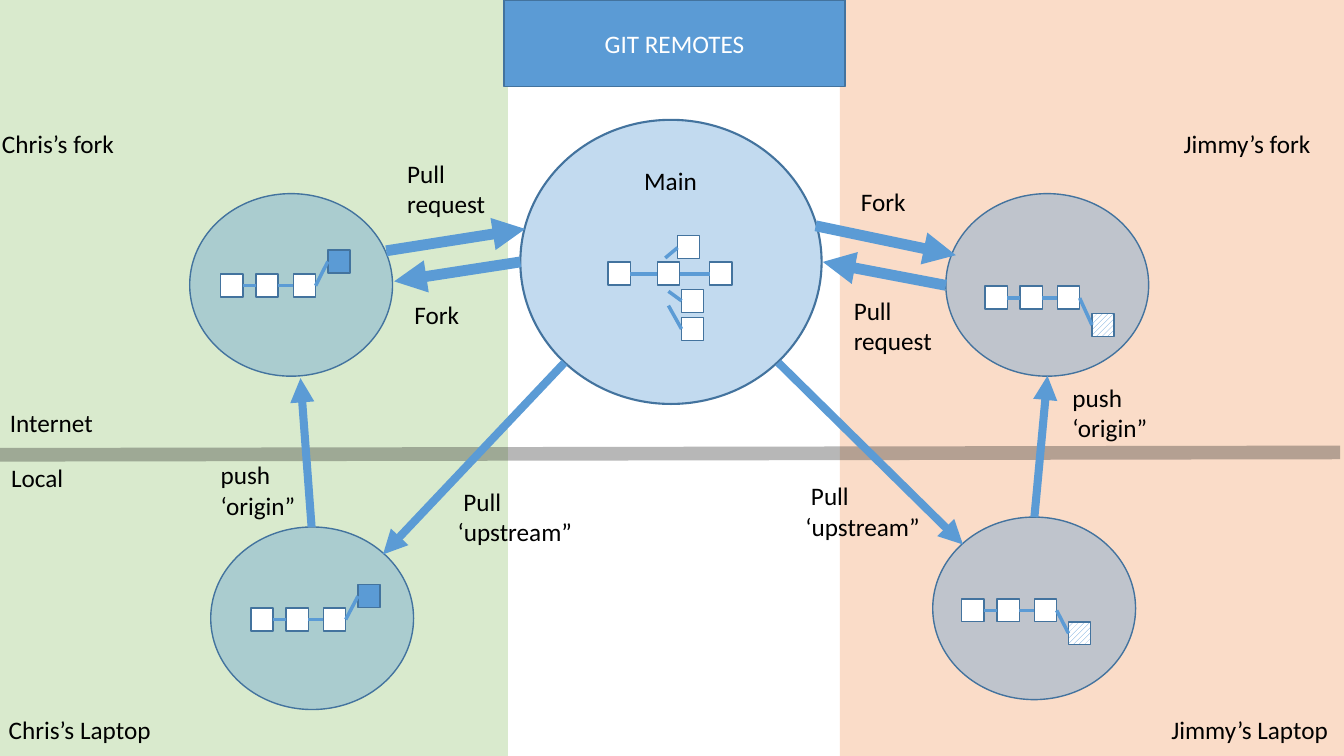
from lxml import etree
from pptx import Presentation
from pptx.dml.color import RGBColor
from pptx.enum.dml import MSO_PATTERN
from pptx.enum.shapes import MSO_CONNECTOR, MSO_SHAPE
from pptx.enum.text import MSO_ANCHOR, MSO_AUTO_SIZE, PP_ALIGN
from pptx.oxml.ns import qn
from pptx.util import Cm, Pt

RECT, OVAL = MSO_SHAPE.RECTANGLE, MSO_SHAPE.OVAL
STRAIGHT = MSO_CONNECTOR.STRAIGHT
HATCH = MSO_PATTERN.WIDE_UPWARD_DIAGONAL
FONT = "Calibri"
BOX_W, BOX_H = 0.22, 0.23  # one commit box, in inches
COLORS = {
    "blue": "5B9BD5", "outline": "43739E", "green": "A9D18E", "orange": "F4B183",
    "divider": "262626", "white": "FFFFFF", "black": "000000",
}


def rgb(name):
    return RGBColor.from_string(COLORS[name])


def cm(inches):
    return Cm(round(inches * 2.54, 2))


def set_alpha(fill_parent, percent):
    color = fill_parent.find(qn("a:solidFill"))[0]
    etree.SubElement(color, qn("a:alpha")).set("val", str(percent * 1000))


def add_shape(s, kind, x, y, w, h, fill, alpha=None, line=None):
    sp = s.shapes.add_shape(kind, cm(x), cm(y), cm(w), cm(h))
    sp.shadow.inherit = False
    if fill == "hatch":
        sp.fill.patterned()
        sp.fill.pattern = HATCH
        sp.fill.fore_color.rgb = rgb("blue")
        sp.fill.back_color.rgb = rgb("white")
    else:
        sp.fill.solid()
        sp.fill.fore_color.rgb = rgb(fill)
    if alpha:
        set_alpha(sp._element.spPr, alpha)
    if line:
        sp.line.color.rgb = rgb("outline")
        sp.line.width = Pt(line)
    else:
        sp.line.fill.background()
    return sp


def add_line(s, start, end, width, color="blue", arrow=False, alpha=None):
    c = s.shapes.add_connector(STRAIGHT, *map(cm, start + end))
    c.line.color.rgb = rgb(color)
    c.line.width = Pt(width)
    spPr = c._element.spPr
    ln = spPr.find(qn("a:ln"))
    if alpha:
        set_alpha(ln, alpha)
    if arrow:
        etree.SubElement(ln, qn("a:tailEnd")).set("type", "triangle")
    etree.SubElement(spPr, qn("a:effectLst"))


def style_text(tf, text, color):
    tf.text = text
    for p in tf.paragraphs:
        p.font.name = FONT
        p.font.size = Pt(18)
        p.font.color.rgb = rgb(color)


def add_label(s, text, x, y, w):
    h = 0.71 if "\n" in text else 0.4
    tf = s.shapes.add_textbox(cm(x), cm(y), cm(w), cm(h)).text_frame
    tf.word_wrap = False
    tf.auto_size = MSO_AUTO_SIZE.SHAPE_TO_FIT_TEXT
    style_text(tf, text, "black")


def add_commit(s, x, y, fill="white"):
    add_shape(s, RECT, x, y, BOX_W, BOX_H, fill, line=1)


def add_history(s, x, y, offsets):
    """A row of commits, each joined to the one before it."""
    mid = y + BOX_H / 2
    for dx in offsets:
        add_commit(s, x + dx, y)
    for left, right in zip(offsets, offsets[1:]):
        add_line(s, (x + right, mid), (x + left + BOX_W, mid), 2.5)


def add_clone(s, x, y, rise, fill):
    """Three commits and a new one that branches off the last."""
    offsets = (0, 0.35, 0.72)
    add_history(s, x, y, offsets)
    branch_x, mid = x + 1.06, y + BOX_H / 2
    add_commit(s, branch_x, y + rise, fill)
    add_line(s, (branch_x, mid + rise), (x + offsets[-1] + BOX_W, mid), 2.5)


def main():
    prs = Presentation()
    prs.slide_width, prs.slide_height = cm(13.33), cm(7.5)
    s = prs.slides.add_slide(prs.slide_layouts[6])

    # Side panels and title
    add_shape(s, RECT, 8.33, 0, 5, 7.5, "orange", alpha=44)
    add_shape(s, RECT, 0, 0, 5.04, 7.5, "green", alpha=44)
    title = add_shape(s, RECT, 5, 0, 3.38, 0.86, "blue", line=1)
    tf = title.text_frame
    tf.vertical_anchor = MSO_ANCHOR.MIDDLE
    style_text(tf, "GIT REMOTES", "white")
    tf.paragraphs[0].alignment = PP_ALIGN.CENTER

    # Repositories
    add_shape(s, OVAL, 5.16, 1.19, 2.99, 2.82, "blue", alpha=37, line=1.5)
    for x, y in ((1.88, 1.92), (2.09, 5.23), (9.38, 1.92), (9.25, 5.13)):
        add_shape(s, OVAL, x, y, 2.01, 1.81, "blue", alpha=37, line=1)

    # Divider between internet and local
    add_line(s, (0, 4.51), (13.29, 4.49), 9.75, "divider", alpha=33)

    # Commits in main, with its branches
    add_history(s, 6.03, 2.6, (0, 0.49, 1.01))
    for x, y, root in ((6.76, 2.87, (6.63, 2.89)), (6.76, 3.15, (6.63, 3.03)),
                       (6.72, 2.34, (6.6, 2.56))):
        add_commit(s, x, y)
        add_line(s, (x, y + BOX_H / 2), root, 2.5)

    # Commits in the forks and laptops
    for x, y, rise, fill in ((2.19, 2.72, -0.24, "blue"), (2.49, 6.03, -0.23, "blue"),
                             (9.77, 2.84, 0.27, "hatch"), (9.54, 5.94, 0.23, "hatch")):
        add_clone(s, x, y, rise, fill)

    # Arrows between main and the forks
    for start, end in (((3.83, 2.49), (5.21, 2.27)), ((5.16, 2.6), (3.91, 2.79)),
                       ((8.09, 2.24), (9.48, 2.53)), ((9.38, 2.83), (8.16, 2.6))):
        add_line(s, start, end, 7.75, arrow=True)

    # Arrows to and from the laptops
    for start, end in (((3.09, 5.23), (2.98, 3.75)), ((5.6, 3.6), (3.8, 5.5)),
                       ((10.26, 5.13), (10.39, 3.73)), ((7.72, 3.6), (9.55, 5.4))):
        add_line(s, start, end, 5.75, arrow=True)

    # Labels
    pull, push, request = " Pull\n‘upstream”", "push\n‘origin”", "Pull\nrequest"
    for text, x, y, w in (
        ("Internet", 0, 3.99, 1.03), ("Local", 0.01, 4.54, 0.73),
        ("Main", 6.29, 1.59, 0.73),
        ("Chris’s fork", -0.08, 1.23, 1.32), ("Jimmy’s fork", 11.64, 1.23, 1.47),
        ("Chris’s Laptop", -0.01, 7.04, 1.63), ("Jimmy’s Laptop", 11.52, 7.04, 1.77),
        (pull, 4.44, 4.77, 1.35), (pull, 7.89, 4.72, 1.35),
        (push, 2.09, 4.51, 0.95), (push, 10.54, 3.74, 0.95),
        (request, 3.94, 1.52, 0.98), (request, 8.37, 2.88, 0.98),
        ("Fork", 4.01, 2.92, 0.65), ("Fork", 8.44, 1.8, 0.65),
    ):
        add_label(s, text, x, y, w)

    prs.save("out.pptx")


if __name__ == "__main__":
    main()
